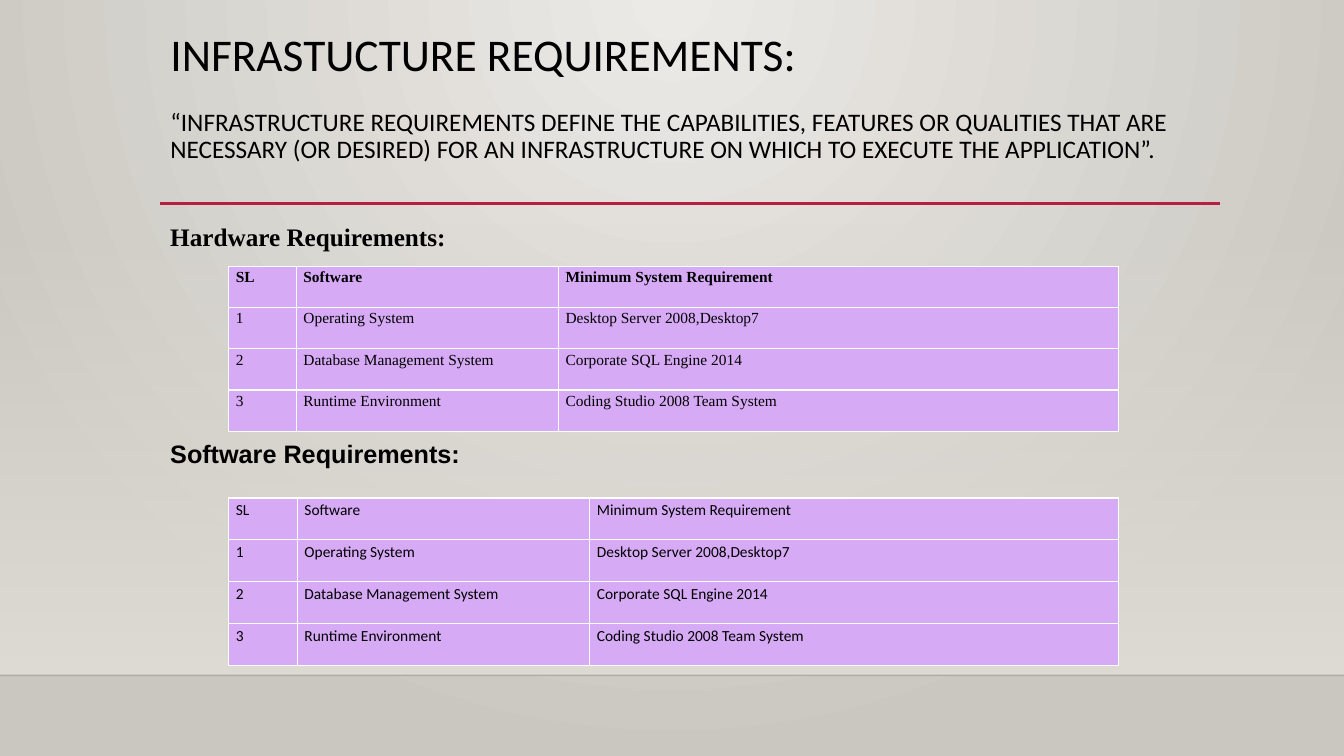
import dataclasses

import pptx
import pptx.dml.color
import pptx.enum.shapes
import pptx.enum.text
import pptx.oxml
import pptx.oxml.ns
import pptx.util
from pptx.util import Inches

ALIGN = pptx.enum.text.PP_ALIGN
ANCHOR = pptx.enum.text.MSO_ANCHOR


@dataclasses.dataclass(frozen=True)
class Theme:
    ink: str = "000000"
    accent: str = "B71E42"
    cell: str = "D7AAF6"
    border: str = "FFFFFF"
    center: str = "ECEAE7"
    edge: str = "CAC7C1"
    haze: str = "DFDBD5"
    floor: str = "000001"
    sans: str = "Calibri"
    serif: str = "Times New Roman"
    heading: str = "Arial"
    title_size: float = 32.4
    body_size: float = 18
    table_size: float = 11


THEME = Theme()
REQUIREMENTS = [
    ("SL", "Software", "Minimum System Requirement"),
    ("1", "Operating System", "Desktop Server 2008,Desktop7"),
    ("2", "Database Management System", "Corporate SQL Engine 2014"),
    ("3", "Runtime Environment", "Coding Studio 2008 Team System"),
]


def rgb(value):
    return pptx.dml.color.RGBColor.from_string(value)


def xml(tag, content, attributes=""):
    """Parse one drawing element."""
    namespace = pptx.oxml.ns.nsdecls("a")
    return pptx.oxml.parse_xml(f"<a:{tag} {namespace} {attributes}>{content}</a:{tag}>")


def gradient(start, end, direction, start_alpha=100):
    """Two-stop gradient fill; direction is its a:lin or a:path element."""
    return xml("gradFill", f"""<a:gsLst>
        <a:gs pos="0"><a:srgbClr val="{start}"><a:alpha val="{start_alpha * 1000}"/></a:srgbClr></a:gs>
        <a:gs pos="100000"><a:srgbClr val="{end}"/></a:gs></a:gsLst>{direction}""")


def replace_solid_fill(parent, fill):
    parent.replace(parent.find(pptx.oxml.ns.qn("a:solidFill")), fill)


def write(paragraph, text, font=THEME.sans, size=THEME.body_size, bold=False,
          align=ALIGN.LEFT, spacing=1.0, before=0, after=0):
    paragraph.alignment = align
    paragraph.line_spacing = spacing
    paragraph.space_before = pptx.util.Pt(before)
    paragraph.space_after = pptx.util.Pt(after)
    run = paragraph.add_run()
    run.text = text
    run.font.name = font
    run.font.size = pptx.util.Pt(size)
    run.font.bold = bold
    run.font.color.rgb = rgb(THEME.ink)


def add_rule(slide, left, right, y, color, width, alpha=100):
    """Horizontal line, with alpha in percent."""
    line = slide.shapes.add_connector(
        pptx.enum.shapes.MSO_CONNECTOR.STRAIGHT, Inches(left), Inches(y), Inches(right), Inches(y))
    line.line.width = pptx.util.Pt(width)
    line.line.color.rgb = rgb(color)
    color_element = line.line._ln.find(".//" + pptx.oxml.ns.qn("a:srgbClr"))
    color_element.append(xml("alpha", "", f'val="{alpha * 1000}"'))
    line._element.spPr.append(xml("effectLst", ""))


def add_backdrop(slide, width, top, floor):
    """Radial background, a haze from top to floor, and the floor line."""
    slide.background.fill.solid()
    background = slide._element.find(".//" + pptx.oxml.ns.qn("p:bgPr"))
    replace_solid_fill(background, gradient(
        THEME.center, THEME.edge,
        '<a:path path="circle"><a:fillToRect l="43000" t="0" r="43000" b="100000"/></a:path>'))
    haze = slide.shapes.add_shape(
        pptx.enum.shapes.MSO_SHAPE.RECTANGLE, 0, Inches(top), Inches(width), Inches(floor - top))
    haze.shadow.inherit = False
    haze.line.fill.background()
    haze.fill.solid()
    replace_solid_fill(haze._element.spPr, gradient(
        THEME.haze, THEME.haze, '<a:lin ang="5400000" scaled="0"/>', start_alpha=0))
    add_rule(slide, 0, width, floor, THEME.floor, 1, alpha=20)


def fill_title(slide, left, top, width, height):
    title = slide.shapes.title
    title.left, title.top, title.width, title.height = map(Inches, (left, top, width, height))
    frame = title.text_frame
    frame.word_wrap = True
    frame.auto_size = pptx.enum.text.MSO_AUTO_SIZE.NONE
    frame.vertical_anchor = ANCHOR.TOP
    write(frame.paragraphs[0], "INFRASTUCTURE REQUIREMENTS:", size=THEME.title_size, spacing=0.9)
    write(frame.add_paragraph(),
          "“INFRASTRUCTURE REQUIREMENTS DEFINE THE CAPABILITIES, FEATURES OR QUALITIES THAT ARE "
          "NECESSARY (OR DESIRED) FOR AN INFRASTRUCTURE ON WHICH TO EXECUTE THE APPLICATION”.",
          spacing=0.9, before=20)


def add_heading(slide, text, left, top, width, height, **text_format):
    box = slide.shapes.add_textbox(*map(Inches, (left, top, width, height)))
    frame = box.text_frame
    frame.word_wrap = True
    write(frame.paragraphs[0], text, bold=True, **text_format)


def format_cell(cell):
    cell.margin_left = cell.margin_right = Inches(0.07)
    cell.margin_top = cell.margin_bottom = 0
    properties = cell._tc.get_or_add_tcPr()
    for side in ("lnL", "lnR", "lnT", "lnB"):
        properties.append(xml(
            side, f'<a:solidFill><a:srgbClr val="{THEME.border}"/></a:solidFill>', 'w="12700"'))
    cell.fill.solid()
    cell.fill.fore_color.rgb = rgb(THEME.cell)


def add_requirements_table(slide, left, top, column_widths, height, font, bold_header=False):
    row_count = len(REQUIREMENTS)
    frame = slide.shapes.add_table(
        row_count, len(column_widths), Inches(left), Inches(top),
        Inches(sum(column_widths)), Inches(height))
    table = frame.table
    for column, width in zip(table.columns, column_widths):
        column.width = Inches(width)
    for row_index, (row, texts) in enumerate(zip(table.rows, REQUIREMENTS)):
        row.height = Inches(height / row_count)
        for cell, text in zip(row.cells, texts):
            format_cell(cell)
            write(cell.text_frame.paragraphs[0], text, font=font, size=THEME.table_size,
                  bold=bold_header and row_index == 0,
                  align=ALIGN.JUSTIFY, spacing=1.15, after=10)


def build_requirements_slide(presentation, width):
    slide = presentation.slides.add_slide(presentation.slide_layouts.get_by_name("Title Only"))
    left, table_left = 1.59, 2.27
    add_backdrop(slide, width, top=2.21, floor=6.7)
    add_rule(slide, left, 12.1, 2.02, THEME.accent, 2.5)
    fill_title(slide, left, 0.27, 10.87, 1.72)
    add_heading(slide, "Hardware Requirements:", left, 2.1, 6.67, 0.43,
                font=THEME.serif, align=ALIGN.JUSTIFY, spacing=1.15, after=10)
    add_requirements_table(slide, table_left, 2.64, (0.67, 2.6, 5.55), 1.64,
                           THEME.serif, bold_header=True)
    add_heading(slide, "Software Requirements:", left, 4.3, 9.03, 0.43, font=THEME.heading)
    add_requirements_table(slide, table_left, 4.94, (0.68, 2.9, 5.24), 1.66, THEME.sans)


def main():
    width, height = 13.33, 7.5
    presentation = pptx.Presentation()
    presentation.slide_width = Inches(width)
    presentation.slide_height = Inches(height)
    build_requirements_slide(presentation, width)
    presentation.save("out.pptx")


if __name__ == "__main__":
    main()
